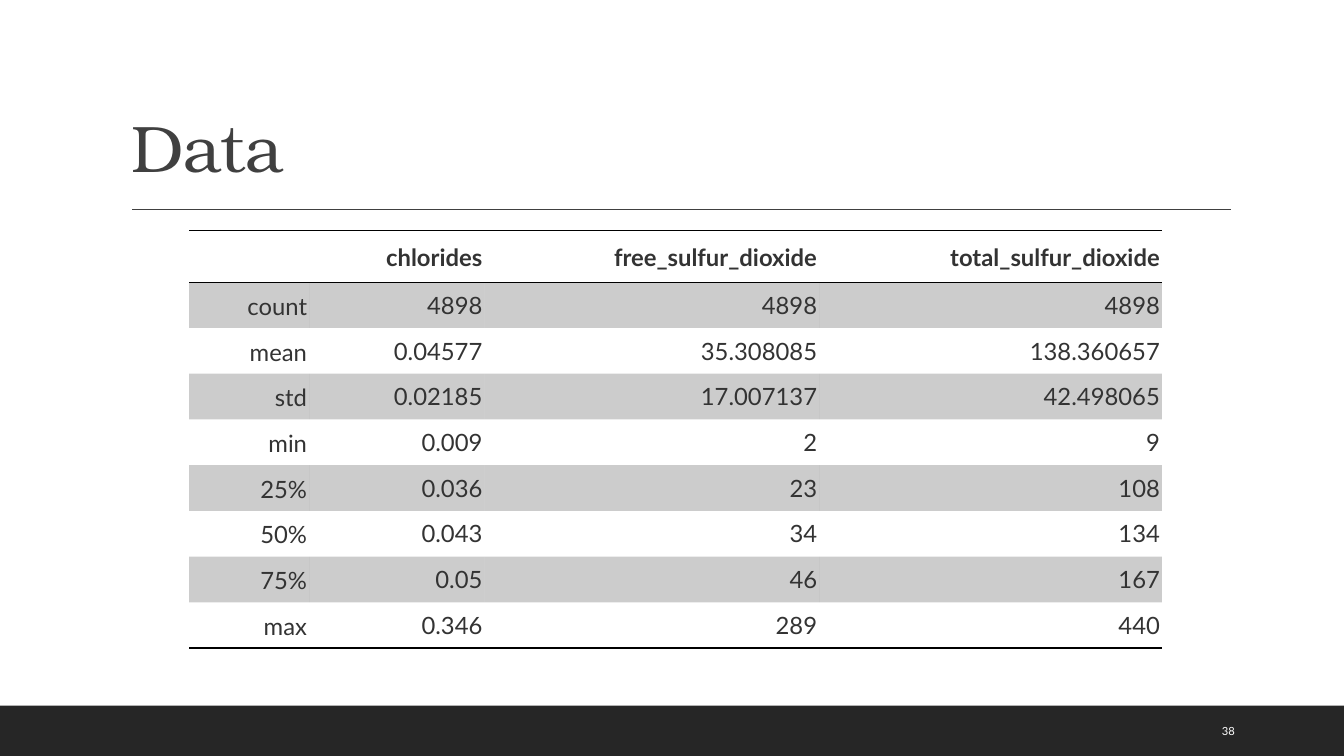
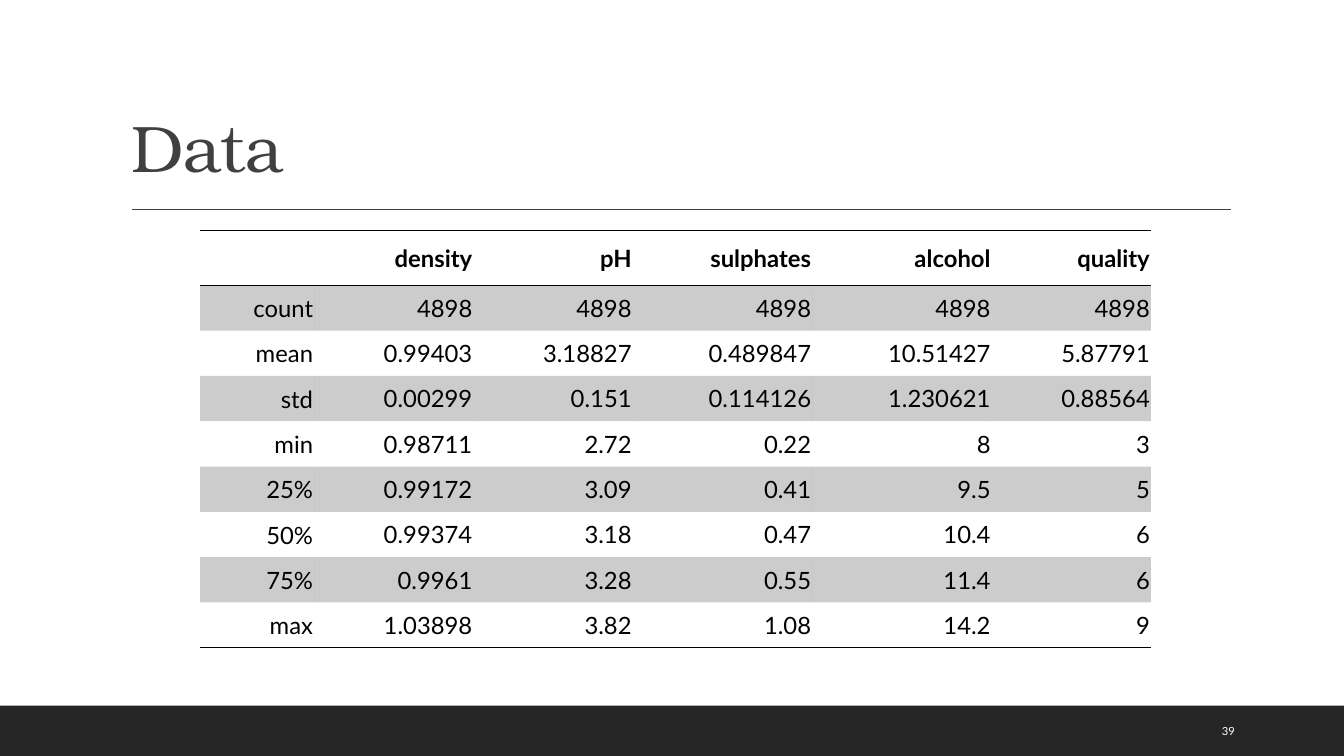
from lxml.etree import SubElement
from pptx import Presentation
from pptx.dml.color import RGBColor
from pptx.enum.shapes import MSO_CONNECTOR as CONN, MSO_SHAPE as SHAPE
from pptx.enum.text import MSO_ANCHOR as ANCHOR, MSO_AUTO_SIZE as AUTO, PP_ALIGN as ALIGN
from pptx.oxml.ns import qn
from pptx.util import Inches, Pt

W, H = 13.33, 7.5
BAND_TOP = 7
RULE_LEFT, RULE_RIGHT, RULE_Y = 1.31, 12.21, 2.08
TABLE_CENTER, TABLE_TOP, TABLE_H = 6.7, 2.29, 4.14
TITLE_FONT, BODY_FONT = "TeX Gyre Bonum", "Lato"
BLACK, BAND, GRAY, WHITE = "000000", "262626", "404040", "FFFFFF"
STRIPE_ALPHA = 20
NO_STYLE = "{2D5ABB26-0587-4C30-8999-92F81FD0307C}"
STATS = ["count", "mean", "std", "min", "25%", "50%", "75%", "max"]

SLIDES = [
    dict(number=38, color="333333", cols=[1.19, 1.74, 3.32, 3.4], header_h=0.51,
         side=0.02, pad=0.07, data={
             "chlorides": "4898 0.04577 0.02185 0.009 0.036 0.043 0.05 0.346",
             "free_sulfur_dioxide": "4898 35.308085 17.007137 2 23 34 46 289",
             "total_sulfur_dioxide": "4898 138.360657 42.498065 9 108 134 167 440"}),
    dict(number=39, color=BLACK, cols=[1.13, 1.58, 1.58, 1.78, 1.78, 1.58], header_h=0.54,
         side=0.01, pad=0.05, data={
             "density": "4898 0.99403 0.00299 0.98711 0.99172 0.99374 0.9961 1.03898",
             "pH": "4898 3.18827 0.151 2.72 3.09 3.18 3.28 3.82",
             "sulphates": "4898 0.489847 0.114126 0.22 0.41 0.47 0.55 1.08",
             "alcohol": "4898 10.51427 1.230621 8 9.5 10.4 11.4 14.2",
             "quality": "4898 5.87791 0.88564 3 5 6 6 9"}),
]


def rgb(value):
    """Turn a hex string into a colour."""
    return RGBColor.from_string(value)


def box(*lengths):
    """Convert lengths in inches for a python-pptx call."""
    return [Inches(v) for v in lengths]


def set_font(p, name, size, color, bold=False):
    """Format a whole paragraph."""
    f = p.font
    f.name, f.size, f.bold = name, Pt(size), bold
    f.color.rgb = rgb(color)


def add_frame(s):
    """Draw the bottom band and the rule under the title."""
    band = s.shapes.add_shape(SHAPE.RECTANGLE, *box(0, BAND_TOP, W, H - BAND_TOP))
    band.shadow.inherit = False
    band.fill.solid()
    band.fill.fore_color.rgb = rgb(BAND)
    band.line.fill.background()
    rule = s.shapes.add_connector(CONN.STRAIGHT, *box(RULE_LEFT, RULE_Y, RULE_RIGHT, RULE_Y))
    rule.line.color.rgb = rgb(GRAY)
    rule.line.width = Pt(1)
    SubElement(rule._element.spPr, qn("a:effectLst"))


def set_title(s, text):
    """Place and format the title placeholder."""
    title = s.shapes.title
    title.left, title.top, title.width, title.height = box(1.2, 0.31, 11, 1.59)
    tf = title.text_frame
    tf.text = text
    tf.auto_size, tf.vertical_anchor = AUTO.NONE, ANCHOR.BOTTOM
    p = tf.paragraphs[0]
    p.alignment, p.line_spacing = ALIGN.LEFT, 0.9
    set_font(p, TITLE_FONT, 47, GRAY)
    p.runs[0].font._element.set("spc", "-50")


def add_number(s, number):
    """Write the slide number on the band."""
    tf = s.shapes.add_textbox(*box(12.02, 7.05, 0.85, 0.4)).text_frame
    tf.word_wrap, tf.vertical_anchor = True, ANCHOR.MIDDLE
    tf.text = str(number)
    set_font(tf.paragraphs[0], BODY_FONT, 8, WHITE)


def add_border(cell, side):
    """Add a thin black border: side is T or B."""
    ln = SubElement(cell._tc.get_or_add_tcPr(), qn(f"a:ln{side}"), w=str(Pt(1)))
    SubElement(SubElement(ln, qn("a:solidFill")), qn("a:srgbClr"), val=BLACK)


def fill_cell(cell, striped):
    """Shade a striped cell with transparent black, or leave it clear."""
    if not striped:
        cell.fill.background()
        return
    cell.fill.solid()
    cell.fill.fore_color.rgb = rgb(BLACK)
    color = cell._tc.tcPr.find(f".//{qn('a:srgbClr')}")
    SubElement(color, qn("a:alpha"), val=str(STRIPE_ALPHA * 1000))


def add_stats(s, data, cols, header_h, side, pad, color):
    """Add the table of summary statistics."""
    columns = [values.split() for values in data.values()]
    rows = [["", *data], *zip(STATS, *columns)]
    width, row_h = sum(cols), (TABLE_H - header_h) / len(STATS)
    frame = s.shapes.add_table(len(rows), len(cols), *box(
        TABLE_CENTER - width / 2, TABLE_TOP, width, TABLE_H))
    table = frame.table
    table.first_row = table.horz_banding = False
    table._tbl.tblPr.find(qn("a:tableStyleId")).text = NO_STYLE
    for column, w in zip(table.columns, cols):
        column.width = Inches(w)
    for i, row in enumerate(rows):
        table.rows[i].height = Inches(row_h if i else header_h)
        for j, text in enumerate(row):
            cell = table.cell(i, j)
            cell.text = text
            cell.vertical_anchor = ANCHOR.MIDDLE
            top, bottom = (pad, pad) if i and j else (side, 0)
            cell.margin_left, cell.margin_right, cell.margin_top, cell.margin_bottom = box(
                side, side, top, bottom)
            p = cell.text_frame.paragraphs[0]
            p.alignment = ALIGN.RIGHT
            set_font(p, BODY_FONT, 17, color, bold=i == 0)
            if i == 0:
                add_border(cell, "T")
            if i in (0, len(STATS)):
                add_border(cell, "B")
            fill_cell(cell, i % 2 == 1)


def main():
    """Build and save the slides."""
    prs = Presentation()
    prs.slide_width, prs.slide_height = box(W, H)
    for content in SLIDES:
        s = prs.slides.add_slide(prs.slide_layouts[5])
        add_frame(s)
        set_title(s, "Data")
        add_stats(s, **{k: v for k, v in content.items() if k != "number"})
        add_number(s, content["number"])
    prs.save("out.pptx")


if __name__ == "__main__":
    main()
